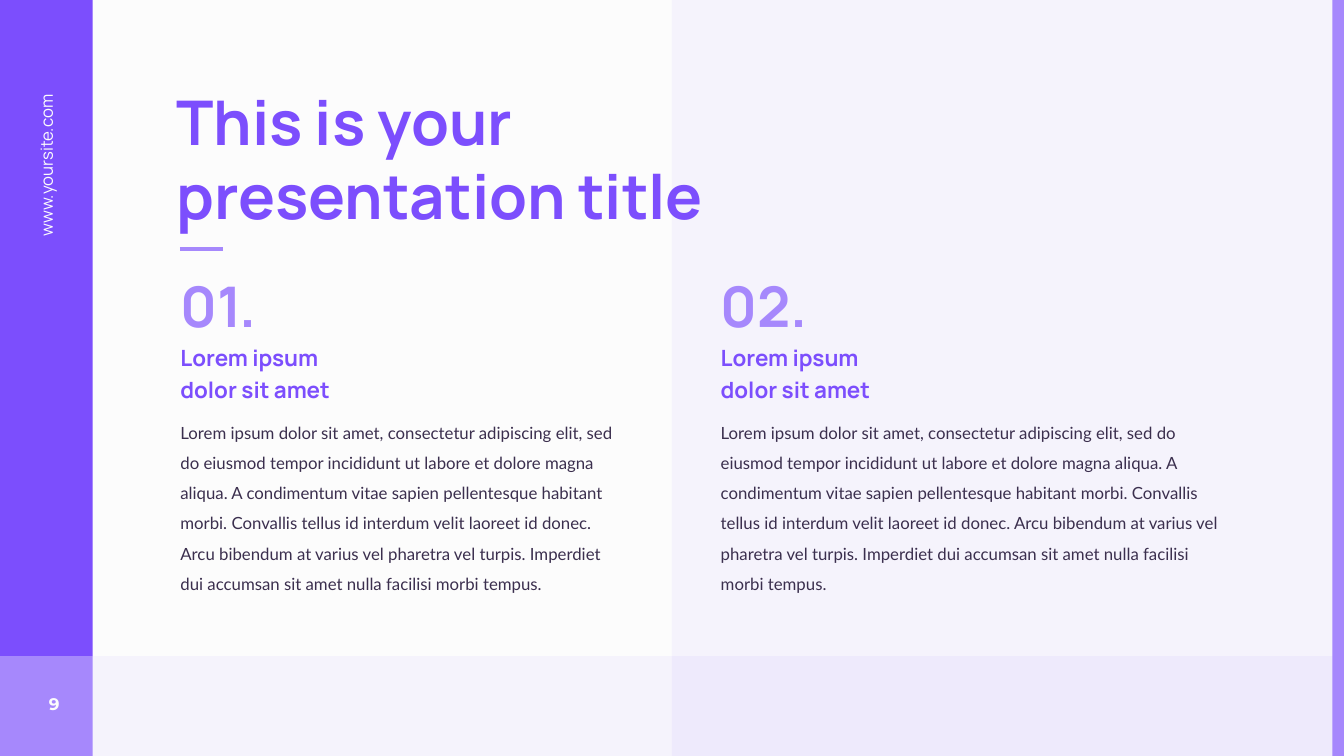
from pptx import Presentation
from pptx.dml.color import RGBColor
from pptx.enum.shapes import MSO_CONNECTOR, MSO_SHAPE
from pptx.enum.text import MSO_ANCHOR, MSO_AUTO_SIZE, PP_ALIGN
from pptx.oxml.ns import qn
from pptx.util import Pt
from lxml.etree import SubElement

TITLE = "This is your presentation title"
SITE = "www.yoursite.com"
PAGE_NUMBER = "9"
HEADING = "Lorem ipsum\ndolor sit amet"
BODY = (
    "Lorem ipsum dolor sit amet, consectetur adipiscing elit, sed do eiusmod "
    "tempor incididunt ut labore et dolore magna aliqua. A condimentum vitae "
    "sapien pellentesque habitant morbi. Convallis tellus id interdum velit "
    "laoreet id donec. Arcu bibendum at varius vel pharetra vel turpis. "
    "Imperdiet dui accumsan sit amet nulla facilisi morbi tempus."
)
COLUMNS = [
    {"number": "01.", "left": 128.9, "heading_width": 184.3, "body_width": 316.8},
    {"number": "02.", "left": 514.8, "heading_width": 213.1, "body_width": 356.4},
]

THEME = {
    "violet": RGBColor(0x7C, 0x4E, 0xFD),
    "lilac": RGBColor(0xA6, 0x88, 0xFC),
    "paper": RGBColor(0xFC, 0xFC, 0xFC),
    "ink": RGBColor(0x3B, 0x2F, 0x4E),
    "tint": 5,
    "title": 44,
    "number": 40,
    "heading": 16,
    "small": 12,
    "display_font": "Manrope",
    "body_font": "Lato",
    "page_font": "Montserrat",
}

WIDTH, HEIGHT = 960, 540
RAIL = 66.2
FOOTER_TOP = 468.7
FOOTER_HEIGHT = HEIGHT - FOOTER_TOP
EDGE = 8.2


def add_panel(slide, left, top, width, height, color, opacity=100):
    panel = slide.shapes.add_shape(
        MSO_SHAPE.RECTANGLE, Pt(left), Pt(top), Pt(width), Pt(height))
    panel.shadow.inherit = False
    panel.fill.solid()
    panel.fill.fore_color.rgb = THEME[color]
    panel.line.fill.background()
    if opacity < 100:
        tone = panel.fill._xPr.find(qn("a:solidFill"))[0]
        SubElement(tone, qn("a:alpha")).set("val", str(opacity * 1000))


def add_text(slide, text, left, top, width, height, size, color,
             font="display_font", bold=True, spacing=None, padded=False,
             align=None, grow=True):
    box = slide.shapes.add_textbox(Pt(left), Pt(top), Pt(width), Pt(height))
    frame = box.text_frame
    frame.word_wrap = True
    if grow:
        frame.auto_size = MSO_AUTO_SIZE.SHAPE_TO_FIT_TEXT
    if not padded:
        frame.margin_left = frame.margin_right = 0
        frame.margin_top = frame.margin_bottom = 0
    paragraph = frame.paragraphs[0]
    paragraph.text = text
    paragraph.alignment = align
    paragraph.line_spacing = spacing
    for run in paragraph.runs:
        run.font.name = THEME[font]
        run.font.size = Pt(THEME[size])
        run.font.bold = bold
        run.font.color.rgb = THEME[color]
    return box


def add_column(slide, number, left, heading_width, body_width):
    add_text(slide, BODY, left, 294.5, body_width, 128.2, "small", "ink",
             font="body_font", bold=False, spacing=1.5)
    add_text(slide, HEADING, left, 241.9, heading_width, 44.6,
             "heading", "violet", spacing=1.2)
    add_text(slide, number, left, 184.3, 77.8, 54.7,
             "number", "lilac", spacing=1.2)


def main():
    deck = Presentation()
    deck.slide_width, deck.slide_height = Pt(WIDTH), Pt(HEIGHT)
    slide = deck.slides.add_slide(deck.slide_layouts[6])
    slide.background.fill.solid()
    slide.background.fill.fore_color.rgb = THEME["paper"]

    add_panel(slide, 0, FOOTER_TOP, WIDTH, FOOTER_HEIGHT, "violet", THEME["tint"])
    add_panel(slide, 0, 0, RAIL, FOOTER_TOP, "violet")
    add_panel(slide, 0, FOOTER_TOP, RAIL, FOOTER_HEIGHT, "lilac")
    page = add_text(slide, PAGE_NUMBER, 17.3, 488.2, 32.4, 28.8, "small", "paper",
                    font="page_font", padded=True, align=PP_ALIGN.RIGHT, grow=False)
    page.text_frame.vertical_anchor = MSO_ANCHOR.MIDDLE
    site = add_text(slide, SITE, -66.2, 149, 198.7, 21.6, "small", "paper",
                    bold=False, padded=True, align=PP_ALIGN.RIGHT)
    site.rotation = 270

    add_panel(slide, WIDTH / 2, 0, WIDTH / 2, HEIGHT, "violet", THEME["tint"])
    add_panel(slide, WIDTH - EDGE, 0, EDGE, HEIGHT, "lilac")
    for column in COLUMNS:
        add_column(slide, **column)

    add_text(slide, TITLE, 118.8, 56.2, 523.4, 113.8, "title", "violet", padded=True)
    rule = slide.shapes.add_connector(
        MSO_CONNECTOR.STRAIGHT, Pt(128.5), Pt(177.8), Pt(159.1), Pt(177.8))
    rule.line.color.rgb = THEME["lilac"]
    rule.line.width = Pt(3)
    SubElement(rule._element.spPr, qn("a:effectLst"))

    deck.save("out.pptx")


if __name__ == "__main__":
    main()
